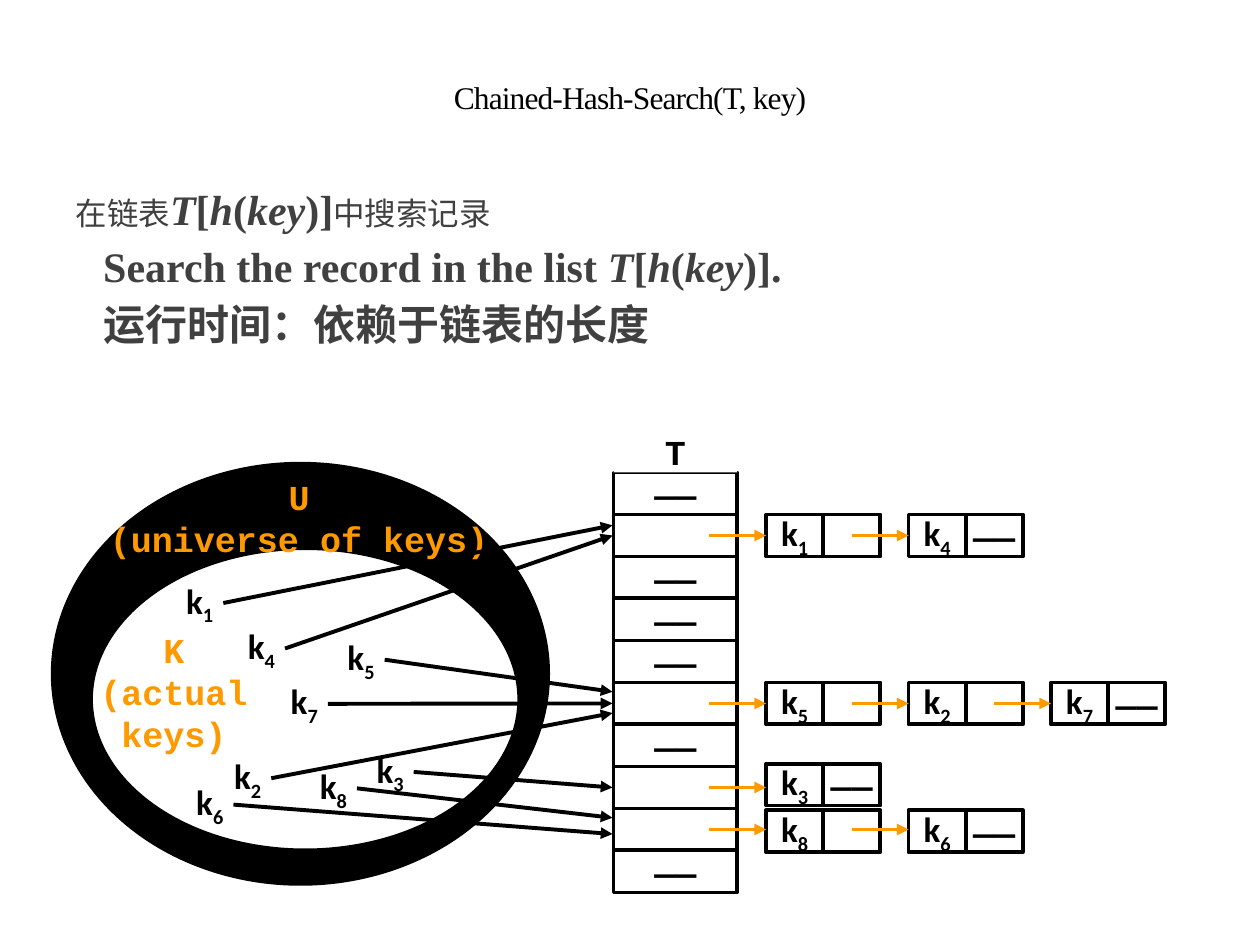
from lxml import etree
from pptx import Presentation
from pptx.dml.color import RGBColor
from pptx.enum.shapes import MSO_CONNECTOR, MSO_SHAPE
from pptx.enum.text import MSO_ANCHOR, MSO_AUTO_SIZE, PP_ALIGN
from pptx.oxml.ns import qn
from pptx.util import Pt

STRAIGHT = MSO_CONNECTOR.STRAIGHT
RECTANGLE, OVAL = MSO_SHAPE.RECTANGLE, MSO_SHAPE.OVAL
MIDDLE, TOP = MSO_ANCHOR.MIDDLE, MSO_ANCHOR.TOP
CENTER, LEFT = PP_ALIGN.CENTER, PP_ALIGN.LEFT
GROW = MSO_AUTO_SIZE.SHAPE_TO_FIT_TEXT

BLACK, WHITE, ORANGE, GRAY = "000000", "FFFFFF", "FF9900", "404040"
SERIF, MONO, SANS = "Times New Roman", "Courier New", "Calibri"

TITLE = "Chained-Hash-Search(T, key)"
LIST_NAME = [
    ("T", {"italic": True}), ("[", {}), ("h", {"italic": True}),
    ("(", {}), ("key", {"italic": True}), (")]", {}),
]
PLAIN = {"size": 18, "bold": False}
BODY = [
    [("在链表", PLAIN), *LIST_NAME, ("中搜索记录", PLAIN)],
    [("Search the record in the list ", {}), *LIST_NAME, (".", {})],
    [("运行时间：依赖于链表的长度", {})],
]
BODY_INDENTS = [7.2, 23, 23]

SETS = [
    ((30.2, 265, 283, 240), BLACK),
    ((52, 313.2, 244.8, 172.8), WHITE),
]
SET_LABELS = [
    ("U\n(universe of keys)", (61.9, 271.4, 218.2, 48.2)),
    ("K\n(actual\nkeys)", (56.9, 358.6, 85, 72.7)),
]
KEYS = [
    ("1", 105.8, 332.6, 300.2),
    ("4", 141.1, 358.6, 306),
    ("5", 198, 365, 395.3),
    ("7", 165.6, 390.2, 402),
    ("2", 133.2, 432.7, 407.5),
    ("3", 214.6, 429.1, 450),
    ("8", 182.2, 438.5, 467.3),
    ("6", 111.6, 447.8, 476.6),
]
CHAINS = {1: (294, "14"), 5: (390, "527"), 7: (436.3, "3"), 8: (463, "86")}

SLOT_COUNT, SLOT_LEFT, SLOT_TOP = 10, 350.6, 270
SLOT_WIDTH, SLOT_HEIGHT = 70.6, 24
NODE_LEFT, NODE_PITCH, CELL_WIDTH = 437.8, 81.4, 32.6
KEY_WIDTH, KEY_ARROW_GAP = 16.6, 21.8

deck = Presentation()
deck.slide_width, deck.slide_height = Pt(720), Pt(540)
page = deck.slides.add_slide(deck.slide_layouts[6])


def color(value):
    return RGBColor.from_string(value)


def write(bounds, paragraphs, font=SERIF, size=20, ink=BLACK, bold=False,
          align=LEFT, anchor=MIDDLE, wrap=False, leading=None,
          before=0, after=0, indents=None, tracking=None):
    box = page.shapes.add_textbox(*map(Pt, bounds))
    frame = box.text_frame
    frame.margin_left = frame.margin_right = 0
    frame.margin_top = frame.margin_bottom = 0
    frame.word_wrap, frame.vertical_anchor = wrap, anchor
    if not wrap:
        frame.auto_size = GROW
    for index, spans in enumerate(paragraphs):
        para = frame.add_paragraph() if index else frame.paragraphs[0]
        para.alignment, para.line_spacing = align, leading
        para.space_before, para.space_after = Pt(before if index else 0), Pt(after)
        if indents:
            para._p.get_or_add_pPr().set("marL", str(Pt(indents[index])))
        for text, changes in spans:
            for number, line in enumerate(text.split("\n")):
                if number:
                    para.add_line_break()
                span = para.add_run()
                span.text = line
                span.font.name = font
                span.font.size = Pt(changes.get("size", size))
                span.font.bold = changes.get("bold", bold)
                span.font.italic = changes.get("italic", False)
                span.font.color.rgb = color(ink)
                properties = span._r.get_or_add_rPr()
                if "baseline" in changes:
                    properties.set("baseline", str(changes["baseline"]))
                if tracking:
                    properties.set("spc", str(tracking))


def draw(kind, bounds, fill=WHITE, outlined=True):
    shape = page.shapes.add_shape(kind, *map(Pt, bounds))
    shape.shadow.inherit = False
    shape.fill.solid()
    shape.fill.fore_color.rgb = color(fill)
    if outlined:
        shape.line.color.rgb = color(BLACK)
        shape.line.width = Pt(2.25)
    else:
        shape.line.fill.background()


def arrow(start, end, ink=BLACK):
    line = page.shapes.add_connector(STRAIGHT, *map(Pt, (*start, *end)))
    line.line.color.rgb = color(ink)
    line.line.width = Pt(2.25)
    etree.SubElement(line.line._get_or_add_ln(), qn("a:tailEnd"), type="triangle")
    etree.SubElement(line._element.spPr, qn("a:effectLst"))


def label(text, bounds, ink=BLACK):
    write(bounds, [[(text, {})]], font=MONO, ink=ink, bold=True, align=CENTER)


def key(number, left, top):
    write((left, top, KEY_WIDTH, SLOT_HEIGHT),
          [[("k", {}), (number, {"baseline": -25000})]],
          font=SANS, bold=True, align=CENTER)


write((54, 23.8, 612, 66.2), [[(TITLE, {})]], size=18, align=CENTER,
      wrap=True, leading=0.85, tracking=-50)
write((36, 108, 642.2, 360), BODY, size=24, ink=GRAY, bold=True, anchor=TOP,
      wrap=True, leading=0.9, before=5, after=2, indents=BODY_INDENTS)

for bounds, fill in SETS:
    draw(OVAL, bounds, fill)

for slot in reversed(range(SLOT_COUNT)):
    bounds = (SLOT_LEFT, SLOT_TOP + slot * SLOT_HEIGHT, SLOT_WIDTH, SLOT_HEIGHT)
    draw(RECTANGLE, bounds)
    if slot not in CHAINS:
        label("——", bounds)
heading = (SLOT_LEFT, SLOT_TOP - SLOT_HEIGHT, SLOT_WIDTH, SLOT_HEIGHT)
draw(RECTANGLE, heading, outlined=False)
label("T", heading)

for text, bounds in SET_LABELS:
    label(text, bounds, ORANGE)
for number, left, top, target in KEYS:
    key(number, left, top)
    arrow((left + KEY_ARROW_GAP, top + SLOT_HEIGHT / 2), (SLOT_LEFT - 0.6, target))

for slot, (top, numbers) in CHAINS.items():
    middle = SLOT_TOP + (slot + 0.5) * SLOT_HEIGHT
    lefts = [NODE_LEFT + index * NODE_PITCH for index in range(len(numbers))]
    for left, number in zip(lefts, numbers):
        link = (left + CELL_WIDTH, top, CELL_WIDTH, SLOT_HEIGHT)
        draw(RECTANGLE, (left, top, CELL_WIDTH, SLOT_HEIGHT))
        draw(RECTANGLE, link)
        key(number, left + (CELL_WIDTH - KEY_WIDTH) / 2, top)
        if left == lefts[-1]:
            label("——", link)
    for left in lefts:
        arrow((left - CELL_WIDTH, middle), (left, middle), ORANGE)

deck.save("out.pptx")
